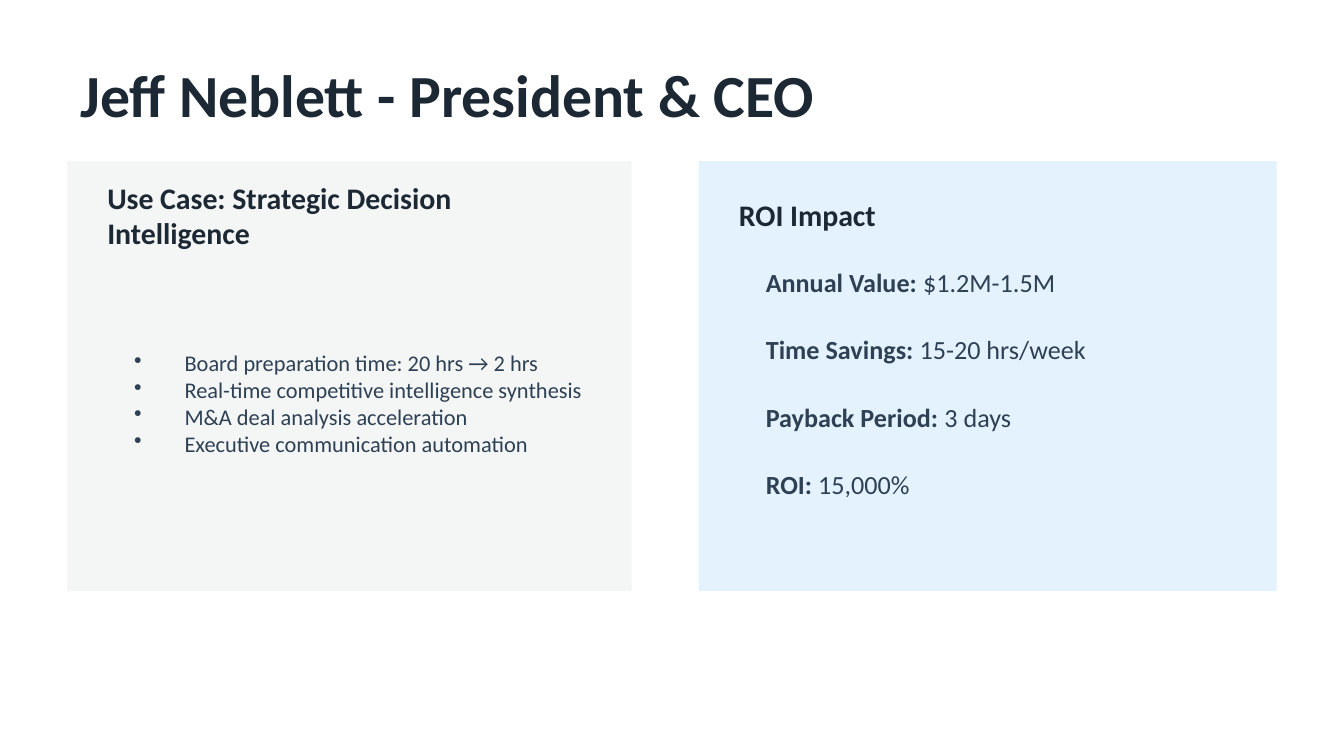
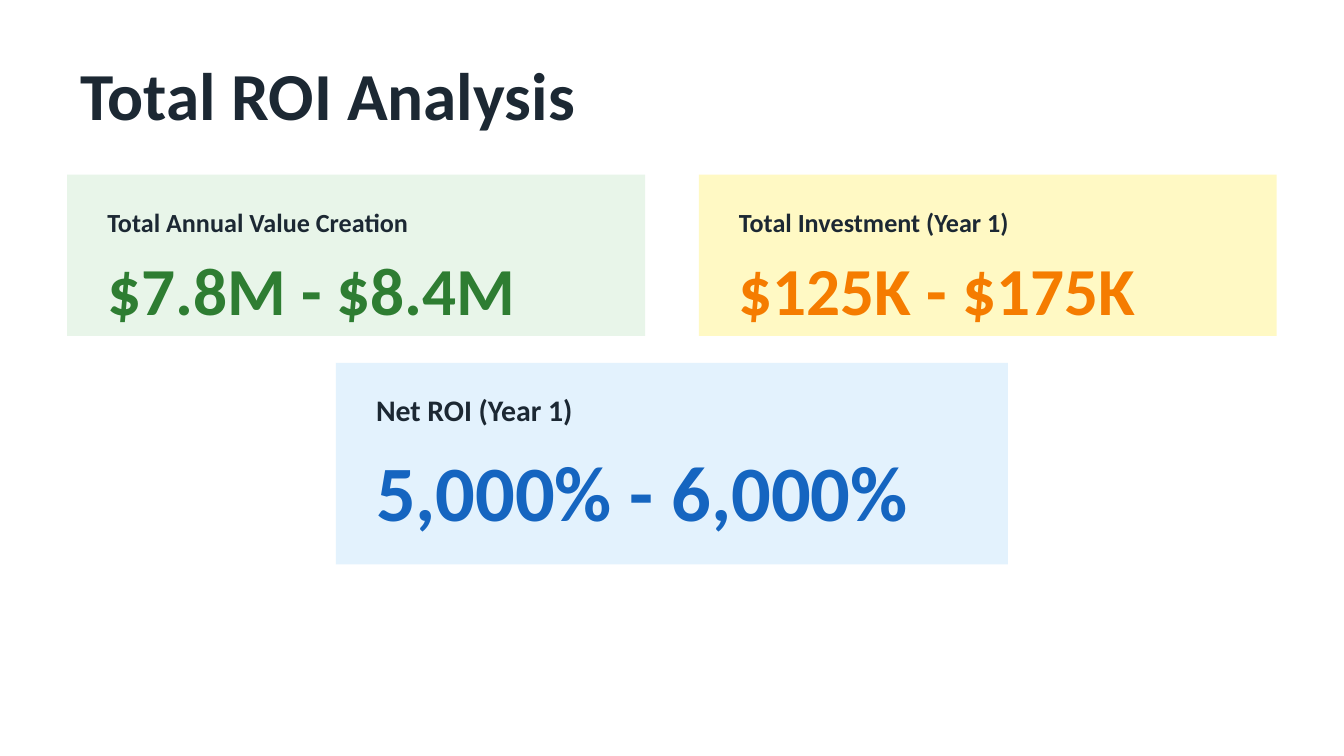
from lxml import etree
from pptx import Presentation
from pptx import util as u
from pptx.dml.color import RGBColor
from pptx.enum import shapes, text
from pptx.oxml import ns

FONT = "Calibri"
COLORS = {
    "paper": "FFFFFF", "heading": "1C2833", "body": "2E4053",
    "gray": "F4F6F6", "pale_blue": "E3F2FD", "pale_green": "E8F5E9", "pale_yellow": "FFF9C4",
    "green": "2E7D32", "orange": "F57C00", "blue": "1565C0",
}
SLIDE_WIDTH = 10
SLIDE_HEIGHT = SLIDE_WIDTH * 9 / 16
LEFT_COLUMN, RIGHT_COLUMN, COLUMN_WIDTH = 0.5, 5.2, 4.3
PAD = 0.2
HANGING = 3 / 8


def rgb(color):
    """Return the named colour."""
    return RGBColor.from_string(COLORS[color])


def style_runs(paragraph, size, color, bold):
    """Format every run of a paragraph."""
    for run in paragraph.runs:
        run.font.name = FONT
        run.font.size = u.Pt(size)
        run.font.bold = bold
        run.font.color.rgb = rgb(color)


def add_text(slide, box, wording, size, color="heading", bold=True):
    """Add a vertically centred text box and return its frame."""
    frame = slide.shapes.add_textbox(*map(u.Inches, box)).text_frame
    frame.word_wrap = True
    frame.vertical_anchor = text.MSO_ANCHOR.MIDDLE
    frame.text = wording
    for paragraph in frame.paragraphs:
        style_runs(paragraph, size, color, bold)
    return frame


def add_bullets(slide, box, points, size):
    """Add a bulleted list with hanging indents."""
    frame = add_text(slide, box, "\n".join(points), size, "body", False)
    for paragraph in frame.paragraphs:
        properties = paragraph._p.get_or_add_pPr()
        properties.set("marL", str(u.Inches(HANGING)))
        properties.set("indent", str(-u.Inches(HANGING)))
        etree.SubElement(properties, ns.qn("a:buSzPct")).set("val", "100000")
        etree.SubElement(properties, ns.qn("a:buChar")).set("char", "•")


def add_measure(slide, box, label, value, size):
    """Add a line with a bold label and a plain value."""
    paragraph = add_text(slide, box, label, size, "body").paragraphs[0]
    paragraph.add_run().text = value
    style_runs(paragraph, size, "body", False)
    paragraph.runs[0].font.bold = True


def add_panel(slide, box, fill, heading, size, heading_height):
    """Add a filled panel with a heading inside it."""
    left, top, width, _ = box
    panel = slide.shapes.add_shape(shapes.MSO_SHAPE.RECTANGLE, *map(u.Inches, box))
    panel.shadow.inherit = False
    panel.fill.solid()
    panel.fill.fore_color.rgb = rgb(fill)
    panel.line.fill.background()
    add_text(slide, (left + PAD, top + PAD, width - 2 * PAD, heading_height), heading, size)


def add_figure_card(slide, box, fill, heading, heading_size, figure, figure_size, figure_height, color):
    """Add a panel that shows one large figure."""
    left, top, width, _ = box
    add_panel(slide, box, fill, heading, heading_size, 0.3)
    add_text(slide, (left + PAD, top + 0.6, width - 2 * PAD, figure_height), figure, figure_size, color)


def add_titled_slide(deck, title, size):
    """Add a blank slide with a title."""
    slide = deck.slides.add_slide(deck.slide_layouts[6])
    slide.background.fill.solid()
    slide.background.fill.fore_color.rgb = rgb("paper")
    add_text(slide, (0.5, 0.4, 9, 0.6), title, size)
    return slide


def build_executive_slide(deck):
    """Build the use case and its return."""
    slide = add_titled_slide(deck, "Jeff Neblett - President & CEO", 32)
    add_panel(slide, (LEFT_COLUMN, 1.2, 4.2, 3.2), "gray",
              "Use Case: Strategic Decision Intelligence", 16, 0.4)
    add_bullets(slide, (0.9, 1.9, 3.6, 2.2), [
        "Board preparation time: 20 hrs → 2 hrs",
        "Real-time competitive intelligence synthesis",
        "M&A deal analysis acceleration",
        "Executive communication automation",
    ], 12)
    add_panel(slide, (RIGHT_COLUMN, 1.2, COLUMN_WIDTH, 3.2), "pale_blue", "ROI Impact", 16, 0.4)
    measures = [
        ("Annual Value: ", "$1.2M-1.5M"),
        ("Time Savings: ", "15-20 hrs/week"),
        ("Payback Period: ", "3 days"),
        ("ROI: ", "15,000%"),
    ]
    for row, (label, value) in enumerate(measures):
        add_measure(slide, (5.6, 1.9 + 0.5 * row, 3.7, 0.4), label, value, 14)


def build_total_slide(deck):
    """Build the overall value, investment and return."""
    slide = add_titled_slide(deck, "Total ROI Analysis", 36)
    add_figure_card(slide, (LEFT_COLUMN, 1.3, COLUMN_WIDTH, 1.2), "pale_green",
                    "Total Annual Value Creation", 14, "$7.8M - $8.4M", 36, 0.5, "green")
    add_figure_card(slide, (RIGHT_COLUMN, 1.3, COLUMN_WIDTH, 1.2), "pale_yellow",
                    "Total Investment (Year 1)", 14, "$125K - $175K", 36, 0.5, "orange")
    add_figure_card(slide, (2.5, 2.7, 5, 1.5), "pale_blue",
                    "Net ROI (Year 1)", 16, "5,000% - 6,000%", 42, 0.7, "blue")


def main():
    """Build and save the deck."""
    deck = Presentation()
    deck.slide_width, deck.slide_height = u.Inches(SLIDE_WIDTH), u.Inches(SLIDE_HEIGHT)
    build_executive_slide(deck)
    build_total_slide(deck)
    deck.save("out.pptx")


if __name__ == "__main__":
    main()
